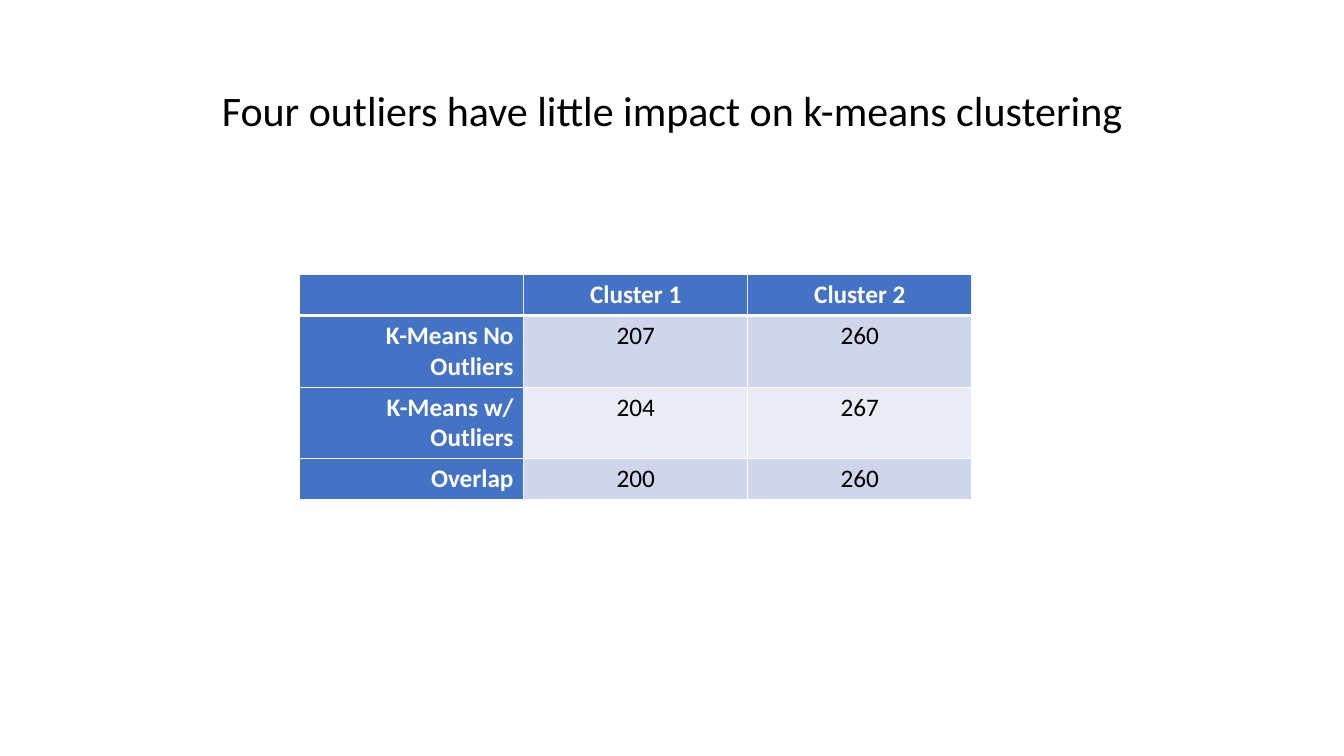
"""Build a slide with a table comparing k-means clusters with and without outliers."""
from lxml import etree
from pptx import Presentation
from pptx.dml.color import RGBColor
from pptx.enum.text import MSO_ANCHOR, PP_ALIGN
from pptx.oxml.ns import qn
from pptx.util import Inches, Pt

CENTER, RIGHT = PP_ALIGN.CENTER, PP_ALIGN.RIGHT
MIDDLE = MSO_ANCHOR.MIDDLE
BLACK = RGBColor(0x00, 0x00, 0x00)
WHITE = RGBColor(0xFF, 0xFF, 0xFF)
BLUE = RGBColor(0x44, 0x72, 0xC4)
BANDS = (RGBColor(0xE9, 0xEB, 0xF5), RGBColor(0xCF, 0xD5, 0xEA))

ROWS = [
    ("", "Cluster 1", "Cluster 2"),
    ("K-Means No Outliers", "207", "260"),
    ("K-Means w/ Outliers", "204", "267"),
    ("Overlap", "200", "260"),
]


class Deck:
    def __init__(self, font):
        self.font = font
        self.prs = Presentation()
        self.prs.slide_width = Inches(13.33)
        self.prs.slide_height = Inches(7.5)
        self.slide = self.prs.slides.add_slide(self.prs.slide_layouts[5])

    def style(self, para, size, color, align, bold=False):
        para.alignment = align
        para.font.name = self.font
        para.font.size = Pt(size)
        para.font.bold = bold
        para.font.color.rgb = color

    def title(self, text, left, top, width, height):
        shape = self.slide.shapes.title
        shape.left, shape.top = Inches(left), Inches(top)
        shape.width, shape.height = Inches(width), Inches(height)
        frame = shape.text_frame
        frame.text = text
        frame.word_wrap = True
        frame.vertical_anchor = MIDDLE
        para = frame.paragraphs[0]
        para.line_spacing = 0.9
        self.style(para, 30, BLACK, CENTER)

    def border(self, cell, side, width):
        props = cell._tc.get_or_add_tcPr()
        line = etree.SubElement(props, qn(f"a:ln{side}"), w=str(Pt(width)))
        fill = etree.SubElement(line, qn("a:solidFill"))
        etree.SubElement(fill, qn("a:srgbClr"), val=str(WHITE))

    def cell(self, cell, text, row, col):
        head = row == 0 or col == 0
        for side in "LRTB":
            thick = (row, side) in ((0, "B"), (1, "T"))
            self.border(cell, side, 3 if thick else 1)
        cell.fill.solid()
        cell.fill.fore_color.rgb = BLUE if head else BANDS[row % 2]
        cell.text = text
        align = RIGHT if col == 0 else CENTER
        color = WHITE if head else BLACK
        self.style(cell.text_frame.paragraphs[0], 18, color, align, head)

    def table(self, rows, left, top, width, height):
        frame = self.slide.shapes.add_table(
            len(rows), len(rows[0]), Inches(left), Inches(top),
            Inches(width), Inches(height))
        table = frame.table
        table.first_col = True
        for r, row in enumerate(rows):
            for c, text in enumerate(row):
                self.cell(table.cell(r, c), text, r, c)


def main():
    deck = Deck("Calibri")
    deck.title("Four outliers have little impact on k-means clustering",
               0.92, 0.4, 11.5, 1.45)
    deck.table(ROWS, 2.97, 2.72, 6.67, 1.64)
    deck.prs.save("out.pptx")


if __name__ == "__main__":
    main()
